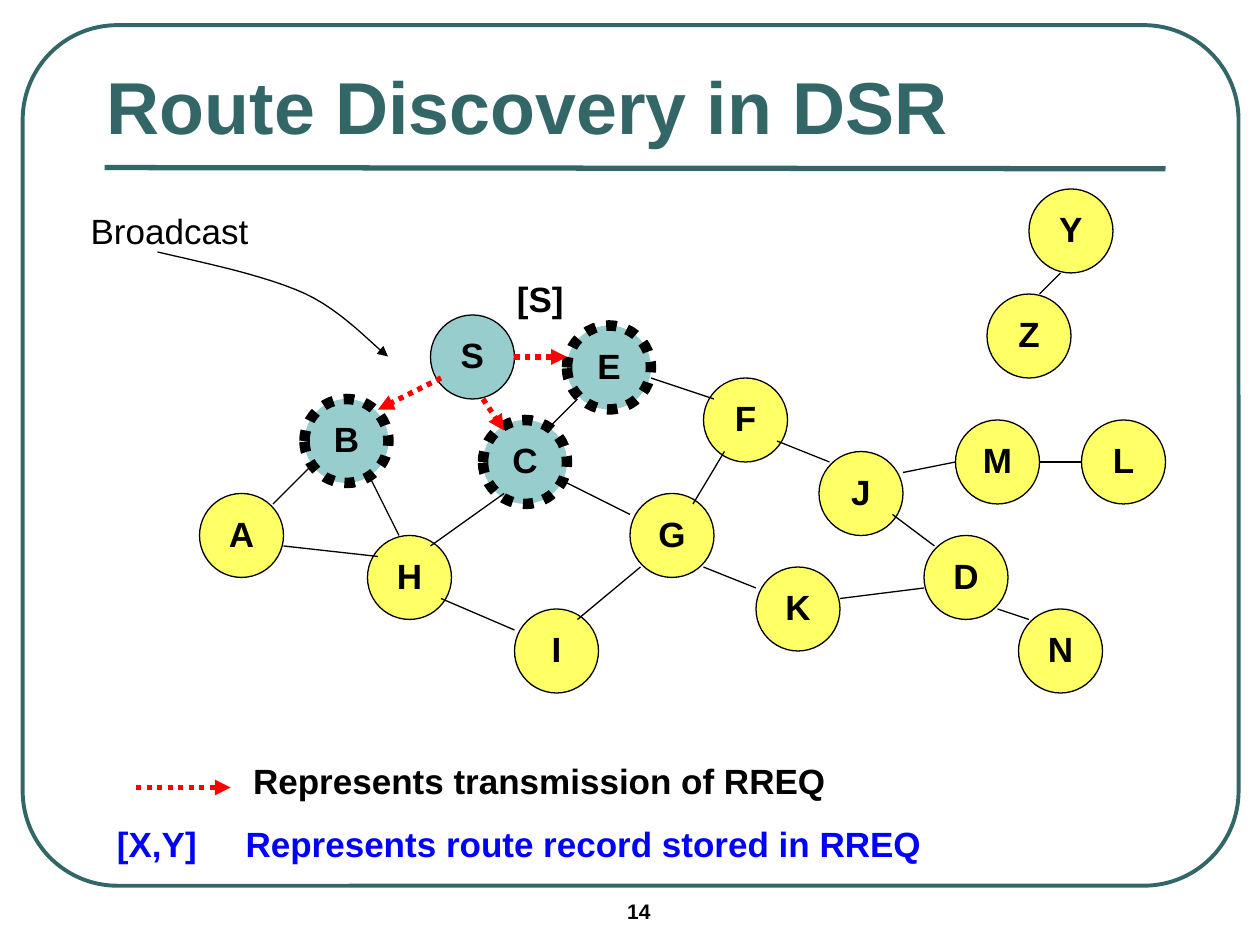
from lxml import etree
from pptx import Presentation
from pptx.dml.color import RGBColor
from pptx.enum.dml import MSO_LINE
from pptx.enum.shapes import MSO_CONNECTOR, MSO_SHAPE
from pptx.enum.text import MSO_ANCHOR, PP_ALIGN
from pptx.oxml.ns import qn
from pptx.util import Inches, Pt

LEFT, CENTER = PP_ALIGN.LEFT, PP_ALIGN.CENTER
MIDDLE, BOTTOM = MSO_ANCHOR.MIDDLE, MSO_ANCHOR.BOTTOM
DOTS = MSO_LINE.ROUND_DOT  # written as sysDot
COLORS = {"teal": "336666", "reached": "97CDCC", "idle": "FFFF66",
          "black": "000000", "red": "FF0000", "blue": "0000FF"}

UNIT = 1 / 12  # inches; the network is drawn on this grid
NODE_SIZE = 8
NODES = {"B": (10, 20), "A": (0, 29), "S": (22, 12), "E": (35, 13),
         "F": (48, 18), "H": (16, 33), "J": (59, 25), "D": (69, 33),
         "C": (27, 22), "G": (41, 29), "I": (30, 40), "K": (53, 36),
         "Z": (75, 10), "Y": (79, 0), "M": (72, 22), "N": (78, 40),
         "L": (84, 22)}
REACHED, RECEIVERS = "SBCE", "BCE"
LINKS = [(7, 30, 11, 26), (8, 34, 17, 35), (16, 27, 19, 33),
         (29, 29, 22, 34), (36, 20, 33, 23), (43, 18, 49, 20),
         (50, 25, 47, 30), (42, 36, 36, 41), (35, 28, 41, 31),
         (23, 39, 30, 42), (55, 24, 60, 26), (48, 36, 53, 38),
         (66, 31, 70, 34), (69, 38, 61, 39), (82, 8, 80, 10),
         (67, 27, 72, 26), (76, 40, 79, 41), (80, 26, 84, 26)]
REQUESTS = [(23, 18, 17, 21), (30, 16, 35, 16), (27, 20, 29, 23)]


def rgb(name):
    return RGBColor.from_string(COLORS[name])


def set_line(shape, color="black", width=0.75, dash=None, arrow=False):
    line = shape.line
    line.color.rgb = rgb(color)
    line.width = Pt(width)
    if dash:
        line.dash_style = dash
    if arrow:
        ln = shape._element.spPr.find(qn("a:ln"))
        etree.SubElement(ln, qn("a:tailEnd"), type="triangle")


def write(shape, text, size=20, color="black", bold=True, align=LEFT,
          anchor=MIDDLE, wrap=False, inset=0.1, tab=None):
    tf = shape.text_frame
    tf.word_wrap = wrap
    tf.vertical_anchor = anchor
    tf.margin_left = tf.margin_right = Inches(inset)
    tf.margin_top = tf.margin_bottom = Inches(inset / 2)
    p = tf.paragraphs[0]
    p.alignment = align
    p.line_spacing = 0.93
    if tab:
        tabs = etree.SubElement(p._p.get_or_add_pPr(), qn("a:tabLst"))
        etree.SubElement(tabs, qn("a:tab"), pos=str(Inches(tab)), algn="l")
    r = p.add_run()
    r.text = text
    r.font.name, r.font.size, r.font.bold = "Arial", Pt(size), bold
    r.font.color.rgb = rgb(color)


def add_text(s, text, x, y, w, h, **fmt):
    tb = s.shapes.add_textbox(Inches(x), Inches(y), Inches(w), Inches(h))
    write(tb, text, **fmt)


def add_line(s, x1, y1, x2, y2, **style):
    c = s.shapes.add_connector(MSO_CONNECTOR.STRAIGHT, Inches(x1), Inches(y1),
                               Inches(x2), Inches(y2))
    set_line(c, **style)
    etree.SubElement(c._element.spPr, qn("a:effectLst"))


def add_request(s, *ends):
    add_line(s, *ends, color="red", width=3, dash=DOTS, arrow=True)


def add_frame(s, x, y, w, h):
    frame = s.shapes.add_shape(MSO_SHAPE.ROUNDED_RECTANGLE, Inches(x),
                               Inches(y), Inches(w), Inches(h))
    frame.adjustments[0] = 0.11
    frame.shadow.inherit = False
    frame.fill.background()
    set_line(frame, "teal", 2.25)
    add_text(s, "14", x + 4.7, y + 6.9, 1.17, 0.29, size=12, anchor=MSO_ANCHOR.TOP)


def add_title(s, x, y, w, h):
    add_line(s, x + 0.08, y + h + 0.08, x + w, y + h + 0.09,
             color="teal", width=3)
    add_text(s, "Route Discovery in DSR", x, y, w, h, size=42, color="teal",
             anchor=BOTTOM, wrap=True)


def add_node(s, name, x, y, size):
    node = s.shapes.add_shape(MSO_SHAPE.OVAL, Inches(x), Inches(y),
                              Inches(size), Inches(size))
    node.shadow.inherit = False
    node.fill.solid()
    node.fill.fore_color.rgb = rgb("reached" if name in REACHED else "idle")
    if name in RECEIVERS:
        set_line(node, width=6, dash=DOTS)
    else:
        set_line(node)
    write(node, name, align=CENTER, inset=0)


def add_network(s, x, y):
    def ends(x1, y1, x2, y2):
        return (x + x1 * UNIT, y + y1 * UNIT, x + x2 * UNIT, y + y2 * UNIT)

    for name, (col, row) in NODES.items():
        add_node(s, name, x + col * UNIT, y + row * UNIT, NODE_SIZE * UNIT)
    for link in LINKS:
        add_line(s, *ends(*link))
    for request in REQUESTS:
        add_request(s, *ends(*request))
    add_text(s, "[S]", x + 2.42, y + 0.68, 0.57, 0.41, align=CENTER)


def bezier(a, b, c, d, steps=12):
    for i in range(1, steps + 1):
        t = i / steps
        u = 1 - t
        yield tuple(u**3 * k + 3 * u * u * t * m + 3 * u * t * t * n + t**3 * q
                    for k, m, n, q in zip(a, b, c, d))


def add_broadcast(s, x, y):
    """Label with a curved arrow leading down to the sending node."""
    add_text(s, "Broadcast", x, y, 1.45, 0.41, bold=False, align=CENTER)
    start, bend, end = (0.63, 0.36), (1.8, 0.69), (2.46, 1.19)
    curve = [*bezier(start, (1.06, 0.46), (1.49, 0.55), bend),
             *bezier(bend, (2.1, 0.83), (2.34, 1.1), end)]
    points = [(Inches(x + px), Inches(y + py)) for px, py in [start, *curve]]
    fb = s.shapes.build_freeform(*points[0])
    fb.add_line_segments(points[1:], close=False)
    arrow = fb.convert_to_shape()
    arrow.shadow.inherit = False
    arrow.fill.background()
    set_line(arrow, arrow=True)


def add_legend(s, x, y):
    add_request(s, x + 0.25, y + 0.24, x + 1, y + 0.24)
    add_text(s, "Represents transmission of RREQ", x + 1.08, y, 4.75, 0.41)
    add_text(s, "[X,Y]\tRepresents route record stored in RREQ", x, y + 0.5,
             6.59, 0.41, color="blue", tab=1.02)


def main():
    prs = Presentation()
    prs.slide_width, prs.slide_height = Inches(10), Inches(7.5)
    s = prs.slides.add_slide(prs.slide_layouts[6])
    add_frame(s, 0.18, 0.2, 9.65, 6.83)
    add_title(s, 0.75, 0, 8.5, 1.25)
    add_network(s, 19 * UNIT, 18 * UNIT)
    add_broadcast(s, 0.62, 1.64)
    add_legend(s, 0.83, 6.01)
    prs.save("out.pptx")


if __name__ == "__main__":
    main()
